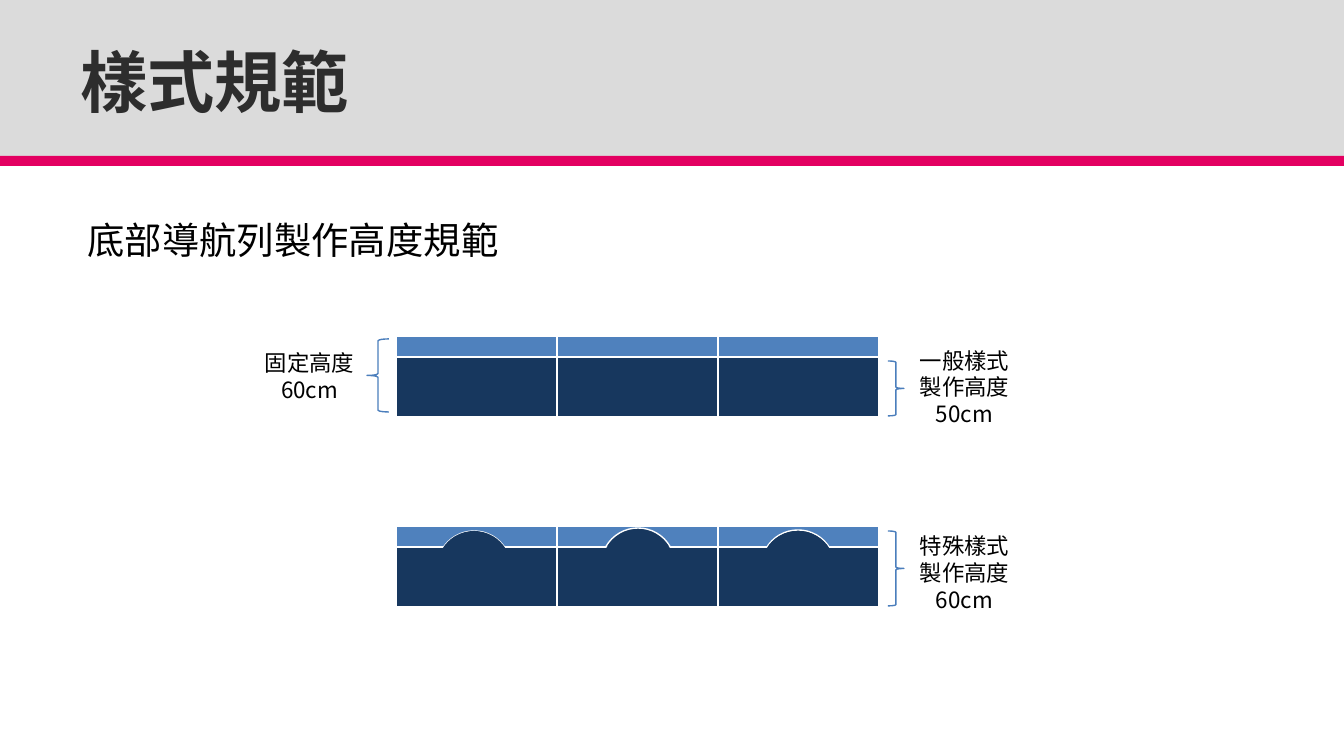
import lxml.etree
import pptx
import pptx.dml.color
import pptx.enum.shapes
import pptx.enum.text
import pptx.oxml.ns
import pptx.util

SCALE = 9144000 / 1344
THEME = {
    "font": "Noto Sans CJK SC",
    "title_size": 36,
    "subtitle_size": 20,
    "label_size": 12,
    "title": "2D2D2D",
    "text": "000000",
    "header": "DBDBDB",
    "accent": "E30061",
    "light": "4F81BD",
    "dark": "17375E",
    "brace": "4B7EBC",
    "white": "FFFFFF",
}


def color(name):
    return pptx.dml.color.RGBColor.from_string(THEME[name])


def px(*lengths):
    return [pptx.util.Emu(round(length * SCALE)) for length in lengths]


presentation = pptx.Presentation()
presentation.slide_width, presentation.slide_height = px(1344, 756)
slide = presentation.slides.add_slide(presentation.slide_layouts[6])
shapes = slide.shapes
preset = pptx.enum.shapes.MSO_SHAPE
alignment = pptx.enum.text.PP_ALIGN
qn = pptx.oxml.ns.qn

for top, height, fill in ((0, 156, "header"), (156, 10, "accent")):
    band = shapes.add_shape(preset.RECTANGLE, *px(0, top, 1344, height))
    band.shadow.inherit = False
    band.fill.solid()
    band.fill.fore_color.rgb = color(fill)
    band.line.fill.background()

texts = (
    ((67, 28, 742, 105), ["樣式規範"], "title_size", "title", alignment.LEFT, 1),
    ((74, 188, 742, 73), ["底部導航列製作高度規範"], "subtitle_size", "text", alignment.LEFT, 1.5),
    ((241, 343, 137, 67), ["固定高度60cm"], "label_size", "text", alignment.CENTER, 1),
    ((879, 340, 171, 95), ["一般樣式", "製作高度50cm"], "label_size", "text", alignment.CENTER, 1),
    ((879, 526, 171, 95), ["特殊樣式", "製作高度60cm"], "label_size", "text", alignment.CENTER, 1),
)
for box, lines, size, ink, align, spacing in texts:
    frame = shapes.add_textbox(*px(*box)).text_frame
    frame.word_wrap = True
    if size == "title_size":
        frame.vertical_anchor = pptx.enum.text.MSO_ANCHOR.MIDDLE
    for index, line in enumerate(lines):
        paragraph = frame.add_paragraph() if index else frame.paragraphs[0]
        paragraph.alignment = align
        paragraph.line_spacing = spacing
        run = paragraph.add_run()
        run.text = line
        run.font.name = THEME["font"]
        run.font.size = pptx.util.Pt(THEME[size])
        run.font.bold = size == "title_size"
        run.font.color.rgb = color(ink)
        east_asian = lxml.etree.SubElement(run.font._element, qn("a:ea"))
        east_asian.set("typeface", THEME["font"])


def add_bar(top, height, fill):
    table = shapes.add_table(1, 3, *px(396, top, 483, height)).table
    table.rows[0].height = px(height)[0]
    for column in table.columns:
        column.width = px(161)[0]
    for cell in table.iter_cells():
        cell.margin_top = cell.margin_bottom = 0
        properties = cell._tc.get_or_add_tcPr()
        for side, points in (("L", 1), ("R", 1), ("T", 1), ("B", 3)):
            border = lxml.etree.SubElement(properties, qn(f"a:ln{side}"))
            border.set("w", str(pptx.util.Pt(points)))
            solid = lxml.etree.SubElement(border, qn("a:solidFill"))
            lxml.etree.SubElement(solid, qn("a:srgbClr")).set("val", THEME["white"])
        cell.fill.solid()
        cell.fill.fore_color.rgb = color(fill)


add_bar(336, 81, "light")
add_bar(357, 62, "dark")
add_bar(526, 81, "light")

for outlined, tops in ((True, (531, 528, 530)), (False, (531, 530, 531))):
    for left, top in zip((437, 601, 761), tops):
        bump = shapes.add_shape(preset.OVAL, *px(left, top, 74, 74))
        bump.shadow.inherit = False
        bump.fill.solid()
        bump.fill.fore_color.rgb = color("dark")
        if outlined:
            bump.line.color.rgb = color("white")
            bump.line.width = pptx.util.Pt(0.75)
        else:
            bump.line.fill.background()
    if outlined:
        add_bar(547, 62, "dark")

braces = (
    (preset.LEFT_BRACE, (367, 339, 22, 73)),
    (preset.RIGHT_BRACE, (888, 361, 16, 55)),
    (preset.RIGHT_BRACE, (888, 531, 16, 75)),
)
for kind, box in braces:
    brace = shapes.add_shape(kind, *px(*box))
    brace.shadow.inherit = False
    brace.fill.background()
    brace.line.color.rgb = color("brace")
    brace.line.width = pptx.util.Pt(0.75)

presentation.save("out.pptx")
